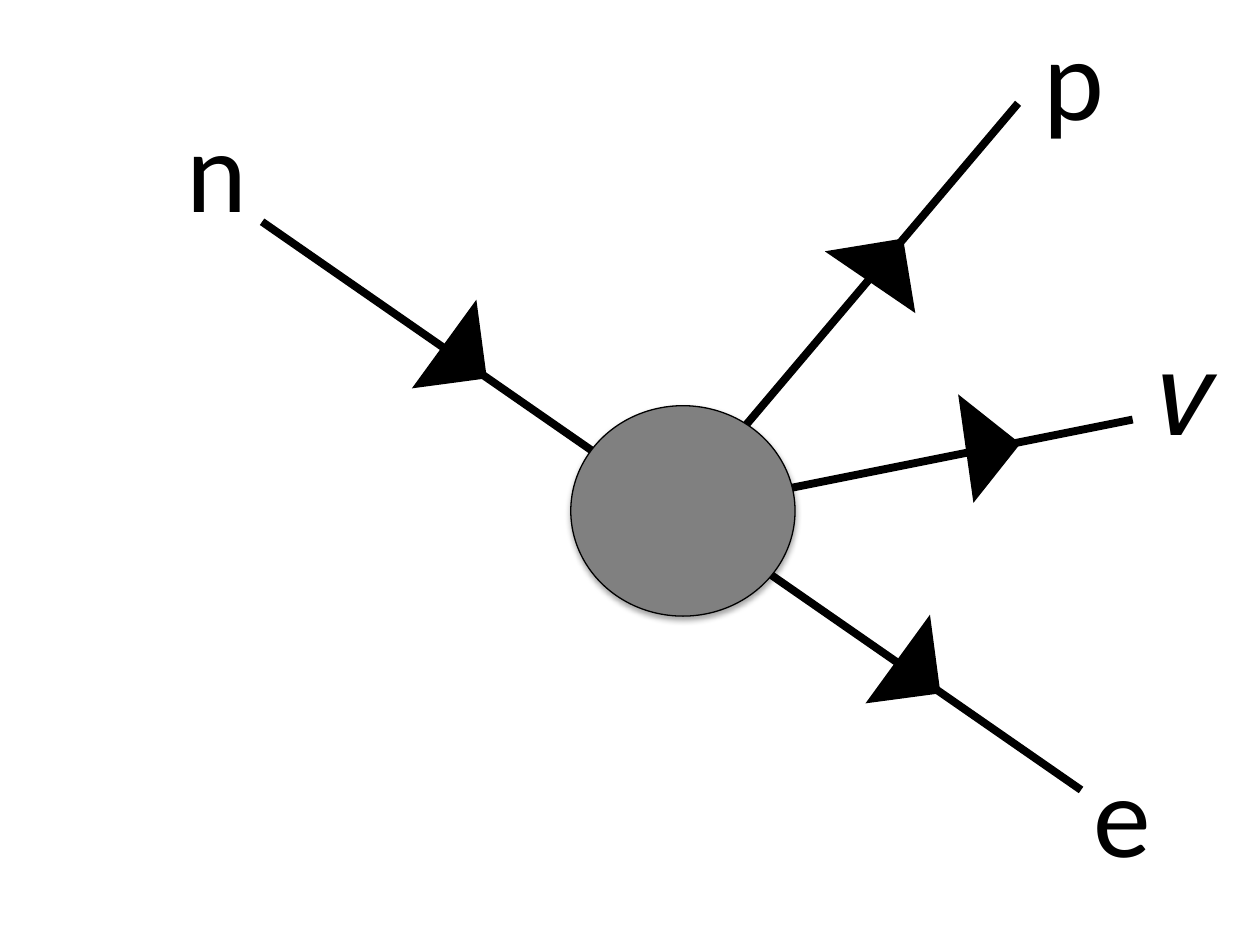
from pptx import Presentation
from pptx.dml.color import RGBColor
from pptx.enum.shapes import MSO_CONNECTOR, MSO_SHAPE
from pptx.enum.text import MSO_AUTO_SIZE
from pptx.oxml.ns import qn
from pptx.util import Emu, Pt
from lxml import etree

BLACK = RGBColor(0x00, 0x00, 0x00)
GREY = RGBColor(0x80, 0x80, 0x80)
EMU_PER_PX = 9144  # 100 px to the inch


def px(n):
    return Emu(n * EMU_PER_PX)


class Diagram:
    font = "Calibri"
    label_size = Pt(66)
    line_width = Pt(4.5)
    outline_width = Pt(0.75)

    def __init__(self, slide):
        self.slide = slide

    def line(self, x1, y1, x2, y2):
        cxn = self.slide.shapes.add_connector(
            MSO_CONNECTOR.STRAIGHT, px(x1), px(y1), px(x2), px(y2))
        cxn.line.color.rgb = BLACK
        cxn.line.width = self.line_width
        etree.SubElement(cxn._element.spPr, qn("a:effectLst"))

    def vertex(self, x, y, w, h):
        # The theme's soft shadow is kept on the vertex
        sp = self.slide.shapes.add_shape(MSO_SHAPE.OVAL, px(x), px(y), px(w), px(h))
        sp.fill.solid()
        sp.fill.fore_color.rgb = GREY
        sp.line.color.rgb = BLACK
        sp.line.width = self.outline_width

    def arrow(self, x, y, angle, w=63, h=60):
        sp = self.slide.shapes.add_shape(
            MSO_SHAPE.RIGHT_TRIANGLE, px(x), px(y), px(w), px(h))
        sp.rotation = angle
        sp.fill.solid()
        sp.fill.fore_color.rgb = BLACK
        sp.line.fill.background()
        sp.shadow.inherit = False

    def label(self, text, x, y, w=107, h=121):
        tf = self.slide.shapes.add_textbox(px(x), px(y), px(w), px(h)).text_frame
        tf.word_wrap = True
        tf.auto_size = MSO_AUTO_SIZE.SHAPE_TO_FIT_TEXT
        p = tf.paragraphs[0]
        p.text = text
        p.font.name = self.font
        p.font.size = self.label_size
        p.font.color.rgb = BLACK


def main():
    prs = Presentation()
    prs.slide_width, prs.slide_height = px(1000), px(750)
    d = Diagram(prs.slides.add_slide(prs.slide_layouts[6]))

    # Particle lines: n to e passes behind the vertex, p and 𝜈 end in it
    centre = (534, 406)
    d.line(208, 176, 858, 627)
    d.line(808, 82, *centre)
    d.line(899, 333, *centre)

    # Interaction vertex
    d.vertex(453, 322, 178, 167)

    # Particle names
    for text, x, y in (("n", 138, 72), ("p", 818, -1),
                       ("e", 858, 584), ("𝜈", 912, 249)):
        d.label(text, x, y)

    # Direction arrows on n, p, e and 𝜈
    for x, y, angle in ((321, 243, 262.4), (659, 194, 170.7),
                        (681, 493, 262.4), (735, 326, 218.4)):
        d.arrow(x, y, angle)

    prs.save("out.pptx")


if __name__ == "__main__":
    main()
